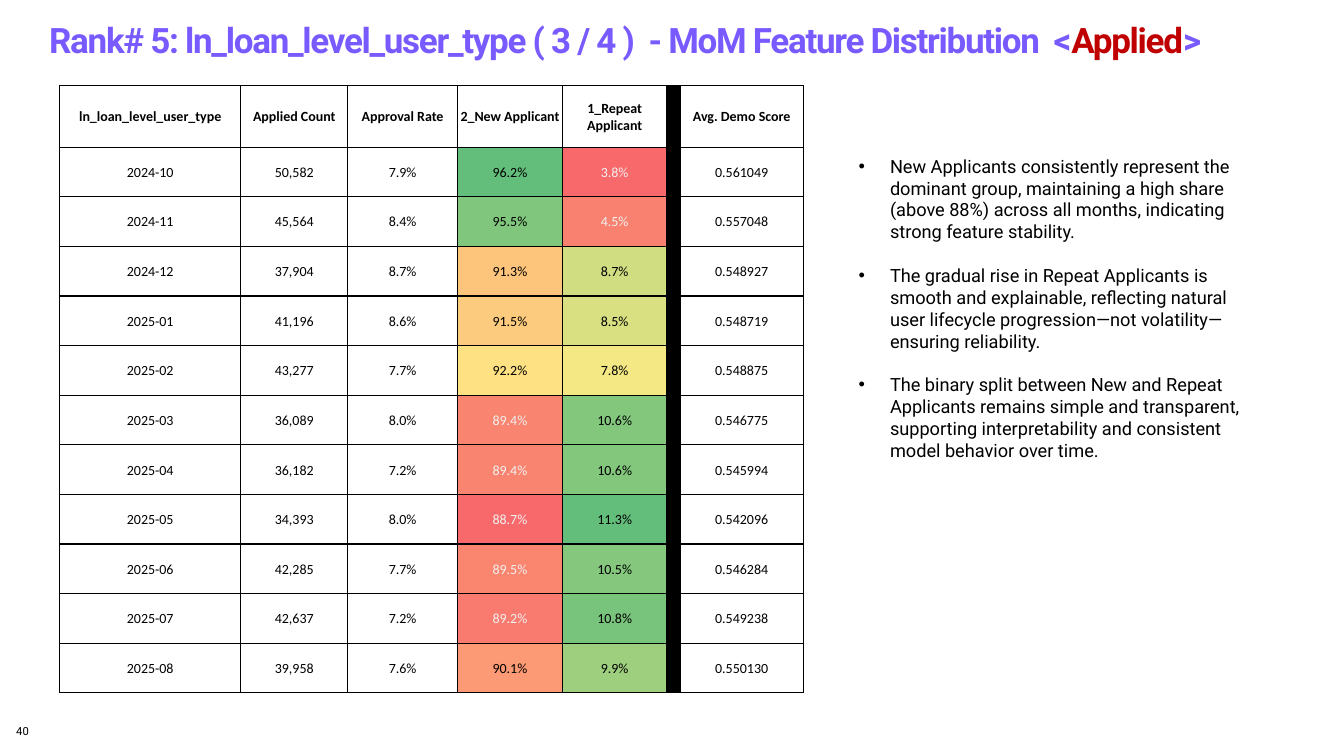
from lxml.etree import SubElement
from pptx import Presentation
from pptx.dml.color import RGBColor
from pptx.enum.text import MSO_ANCHOR, MSO_AUTO_SIZE, PP_ALIGN
from pptx.oxml.ns import qn
from pptx.util import Cm, Pt

HEADERS = ["ln_loan_level_user_type", "Applied Count", "Approval Rate",
           "2_New Applicant", "1_Repeat Applicant", "", "Avg. Demo Score"]
COLUMN_WIDTHS = [4.57, 2.69, 2.77, 2.64, 2.64, 0.33, 3.1]
NEW, REPEAT, DIVIDER = 3, 4, 5
HEADER_HEIGHT, MONTH_HEIGHT = 1.55, 1.25

# month, applied, approval rate, new share, repeat share, score, new fill, repeat fill
MONTHS = [
    ("2024-10", "50,582", "7.9%", "96.2%", "3.8%", "0.561049", "63BE7B", "F8696B"),
    ("2024-11", "45,564", "8.4%", "95.5%", "4.5%", "0.557048", "80C67D", "F98170"),
    ("2024-12", "37,904", "8.7%", "91.3%", "8.7%", "0.548927", "FDC47C", "D0DD81"),
    ("2025-01", "41,196", "8.6%", "91.5%", "8.5%", "0.548719", "FDCB7E", "D8E082"),
    ("2025-02", "43,277", "7.7%", "92.2%", "7.8%", "0.548875", "FEE182", "F3E883"),
    ("2025-03", "36,089", "8.0%", "89.4%", "10.6%", "0.546775", "F98470", "83C77D"),
    ("2025-04", "36,182", "7.2%", "89.4%", "10.6%", "0.545994", "F98470", "83C77D"),
    ("2025-05", "34,393", "8.0%", "88.7%", "11.3%", "0.542096", "F8696B", "63BE7B"),
    ("2025-06", "42,285", "7.7%", "89.5%", "10.5%", "0.546284", "FA8670", "85C87D"),
    ("2025-07", "42,637", "7.2%", "89.2%", "10.8%", "0.549238", "F97B6F", "79C47C"),
    ("2025-08", "39,958", "7.6%", "90.1%", "9.9%", "0.550130", "FB9A74", "9ECF7E"),
]

FINDINGS = [
    "New Applicants consistently represent the dominant group, maintaining a high share "
    "(above 88%) across all months, indicating strong feature stability.",
    "The gradual rise in Repeat Applicants is smooth and explainable, reflecting natural "
    "user lifecycle progression—not volatility—ensuring reliability.",
    "The binary split between New and Repeat Applicants remains simple and transparent, "
    "supporting interpretability and consistent model behavior over time.",
]


def style_font(font, name, size, color, bold=False):
    font.name, font.size, font.bold = name, Pt(size), bold
    font.color.rgb = RGBColor.from_string(color)


def set_margins(area, left, top, right, bottom):
    """Set the insets, in cm, of a text frame or a table cell."""
    area.margin_left, area.margin_top = Cm(left), Cm(top)
    area.margin_right, area.margin_bottom = Cm(right), Cm(bottom)


prs = Presentation()
prs.slide_width, prs.slide_height = Cm(33.87), Cm(19.05)
slide = prs.slides.add_slide(prs.slide_layouts[5])

# Title
title = slide.shapes.title
title.left, title.top, title.width, title.height = Cm(1.24), Cm(0.3), Cm(32.6), Cm(1.3)
heading = title.text_frame
heading.auto_size = MSO_AUTO_SIZE.NONE
heading.vertical_anchor = MSO_ANCHOR.MIDDLE
set_margins(heading, 0, 0, 0, 0)
heading_line = heading.paragraphs[0]
heading_line.alignment = PP_ALIGN.LEFT
heading_line.line_spacing = 1.1
for words, color in [
    ("Rank# 5: ln_loan_level_user_type ( 3 / 4 )  - MoM Feature Distribution  <", "785AFF"),
    ("Applied", "C00000"),
    (">", "785AFF"),
]:
    run = heading_line.add_run()
    run.text = words
    style_font(run.font, "Roboto", 25, color, bold=True)
    run.font._element.set("spc", "-90")

# Page number
page_number = slide.shapes.add_textbox(Cm(0.41), Cm(18.26), Cm(7.42), Cm(0.64)).text_frame
page_number.word_wrap = True
set_margins(page_number, 0, 0, 0, 0)
page_number.text = "40"
style_font(page_number.paragraphs[0].font, "Roboto", 8, "000000")

# Findings
findings = slide.shapes.add_textbox(Cm(21.39), Cm(3.78), Cm(10.67), Cm(7.49)).text_frame
findings.word_wrap = True
for index, finding in enumerate(FINDINGS):
    paragraph = findings.add_paragraph() if index else findings.paragraphs[0]
    paragraph.text = finding
    if index:
        paragraph.space_before = Pt(15.6)
    properties = paragraph._p.get_or_add_pPr()
    properties.set("marL", str(Cm(0.79)))
    properties.set("indent", str(-Cm(0.79)))
    SubElement(properties, qn("a:buFont"), typeface="Arial")
    SubElement(properties, qn("a:buChar"), char="•")
    style_font(paragraph.font, "Roboto", 13, "000000")

# Monthly distribution table
table = slide.shapes.add_table(
    len(MONTHS) + 1, len(HEADERS), Cm(1.5), Cm(2.16),
    Cm(sum(COLUMN_WIDTHS)), Cm(HEADER_HEIGHT + MONTH_HEIGHT * len(MONTHS))).table
table.first_row = table.horz_banding = False
for column, width in zip(table.columns, COLUMN_WIDTHS):
    column.width = Cm(width)

rows = [(HEADERS, {})]
for *values, score, new_fill, repeat_fill in MONTHS:
    rows.append(([*values, "", score], {NEW: new_fill, REPEAT: repeat_fill}))

for row_index, (values, fills) in enumerate(rows):
    is_header = row_index == 0
    table.rows[row_index].height = Cm(HEADER_HEIGHT if is_header else MONTH_HEIGHT)
    for column_index, value in enumerate(values):
        cell = table.cell(row_index, column_index)
        cell.vertical_anchor = MSO_ANCHOR.MIDDLE
        set_margins(cell, 0.03, 0.03, 0.03, 0)
        for side in ("lnL", "lnR", "lnT", "lnB"):
            border = SubElement(cell._tc.get_or_add_tcPr(), qn(f"a:{side}"), w=str(Pt(1)))
            SubElement(SubElement(border, qn("a:solidFill")), qn("a:srgbClr"), val="000000")

        fill = "000000" if column_index == DIVIDER else fills.get(column_index)
        if fill:
            cell.fill.solid()
            cell.fill.fore_color.rgb = RGBColor.from_string(fill)
        else:
            cell.fill.background()

        # Reds, which have little green in them, carry light text
        is_red = column_index in fills and int(fill[2:4], 16) < 0x90
        cell.text = value
        paragraph = cell.text_frame.paragraphs[0]
        paragraph.alignment = PP_ALIGN.CENTER
        style_font(paragraph.font, "Calibri", 10, "F1F1F1" if is_red else "000000", is_header)

prs.save("out.pptx")
